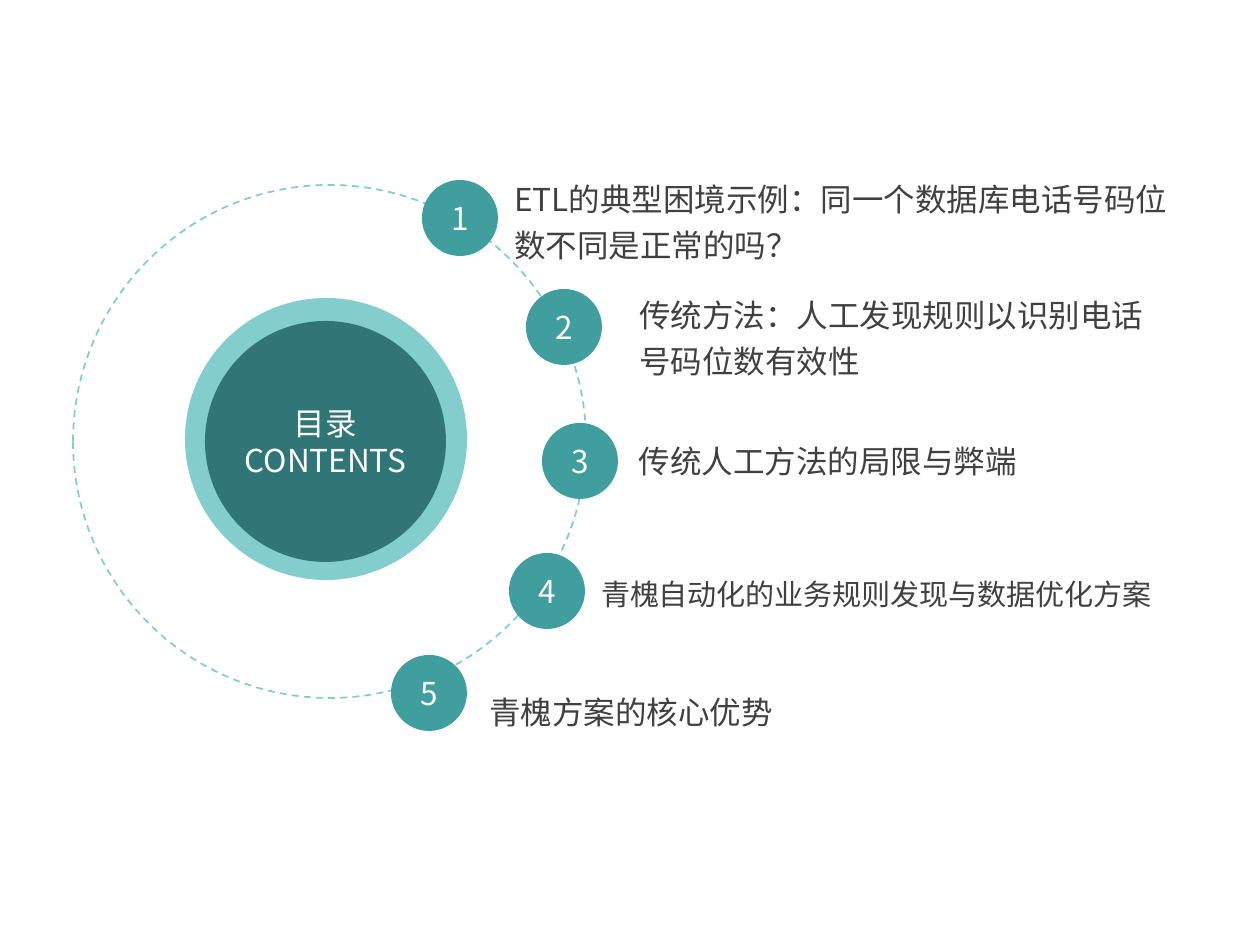
from lxml.etree import SubElement
from pptx import Presentation
from pptx.dml.color import RGBColor as RGB
from pptx.enum.dml import MSO_LINE as Dash
from pptx.enum.shapes import MSO_SHAPE as Shape
from pptx.enum.text import MSO_ANCHOR as Anchor, PP_ALIGN as Align
from pptx.oxml.ns import qn
from pptx.util import Pt

SCALE = 914400 / 126
FONT = "Noto Sans CJK SC"
COLORS = {
    "light": "84CDCD",
    "mid": "409E9E",
    "dark": "307677",
    "text": "404040",
    "white": "FFFFFF",
}
BADGE = 76

# badge corner, label box, label size, label text
ITEMS = [
    ((422, 180), (509, 165, 662, 106), 18,
     "ETL的典型困境示例：同一个数据库电话号码位数不同是正常的吗？"),
    ((526, 289), (634, 281, 537, 106), 18,
     "传统方法：人工发现规则以识别电话号码位数有效性"),
    ((542, 423), (634, 404, 530, 106), 18, "传统人工方法的局限与弊端"),
    ((509, 553), (596, 559, 575, 62), 16.6,
     "青槐自动化的业务规则发现与数据优化方案"),
    ((391, 655), (484, 683, 499, 50), 18, "青槐方案的核心优势"),
]


def px(num):
    return round(num * SCALE)


def color(name):
    return RGB.from_string(COLORS[name])


def write(shape, text, size=18, ink="white", align=Align.CENTER,
          space=None, left=0):
    """Fill a shape with text, one paragraph a line."""
    frame = shape.text_frame
    frame.word_wrap = True
    frame.vertical_anchor = Anchor.MIDDLE
    frame.margin_left = px(left)
    frame.margin_top = frame.margin_right = frame.margin_bottom = 0
    frame.text = text
    for para in frame.paragraphs:
        para.alignment = align
        para.line_spacing = space
        for run in para.runs:
            run.font.size = Pt(size)
            run.font.name = FONT
            run.font.color.rgb = color(ink)
            SubElement(run._r.get_or_add_rPr(), qn("a:ea"), typeface=FONT)


def circle(slide, x, y, size, fill=None, line=None):
    """Add a filled disc, or a dashed ring when a line colour is given."""
    shape = slide.shapes.add_shape(Shape.OVAL, px(x), px(y), px(size), px(size))
    shape.shadow.inherit = False
    if fill:
        shape.fill.solid()
        shape.fill.fore_color.rgb = color(fill)
    else:
        shape.fill.background()
    if line:
        shape.line.color.rgb = color(line)
        shape.line.width = Pt(1)
        shape.line.dash_style = Dash.DASH
    else:
        shape.line.fill.background()
    return shape


def label(slide, box, text, size):
    shape = slide.shapes.add_textbox(*map(px, box))
    write(shape, text, size=size, ink="text", align=Align.LEFT, space=1.2, left=5)


def main():
    prs = Presentation()
    prs.slide_width, prs.slide_height = px(1260), px(945)
    slide = prs.slides.add_slide(prs.slide_layouts[6])

    circle(slide, 185, 298, 282, fill="light")
    circle(slide, 73, 185, 513, line="light")
    core = circle(slide, 205, 321, 241, fill="dark")
    write(core, "目录\nCONTENTS")

    for num, (spot, box, size, text) in enumerate(ITEMS, 1):
        badge = circle(slide, *spot, BADGE, fill="mid")
        write(badge, str(num))
        label(slide, box, text, size)

    prs.save("out.pptx")


if __name__ == "__main__":
    main()
